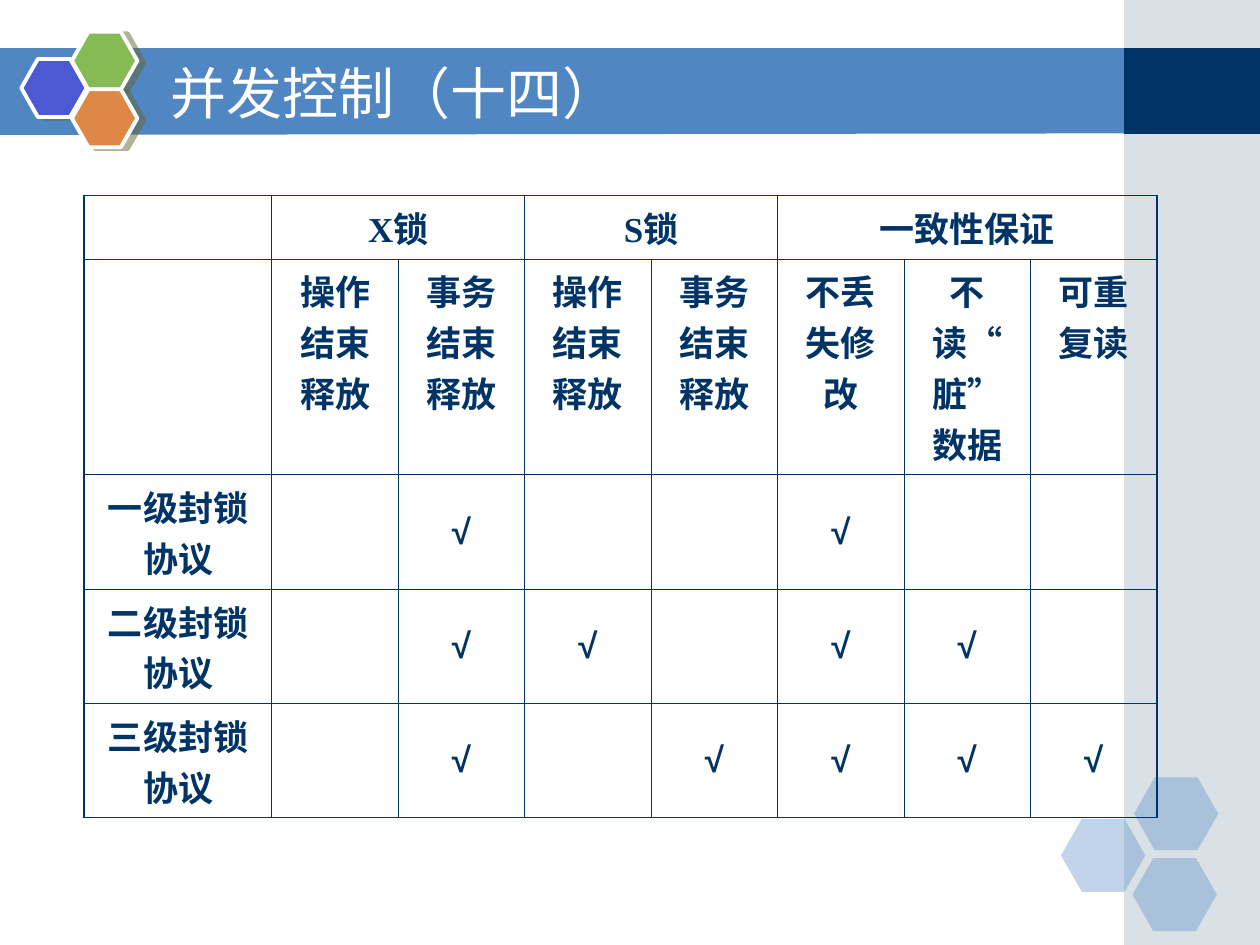
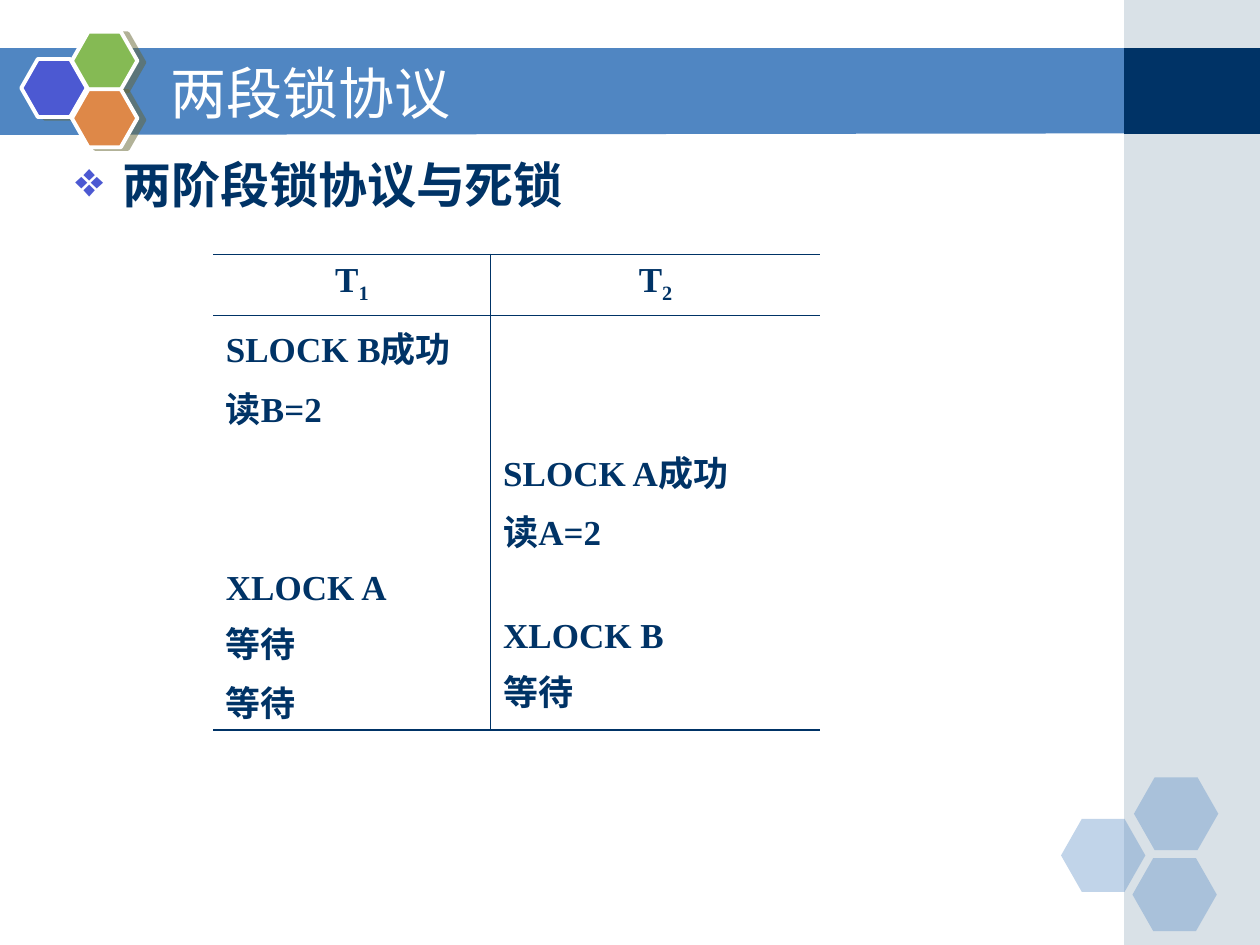
from dataclasses import dataclass

from lxml import etree
from pptx import Presentation
from pptx import util as u
from pptx.dml.color import RGBColor
from pptx.enum import shapes, text
from pptx.oxml import ns

Cm, Pt = u.Cm, u.Pt


@dataclass(frozen=True)
class Theme:
    navy: str = "003366"
    blue: str = "5086C2"
    mist: str = "A0B5C4"
    violet: str = "4C59D2"
    green: str = "85BA54"
    orange: str = "DE8848"
    shade: str = "666633"
    white: str = "FFFFFF"
    sans: str = "DejaVu Sans"
    serif: str = "Times New Roman"
    tick: str = "Arial"
    title: int = 32
    point: int = 28
    cell: int = 20
    thick: float = 1.08
    thin: float = 0.45


def add(parent, tag, **attrs):
    """Append a drawing element and return it."""
    node = etree.SubElement(parent, ns.qn(tag))
    for key, value in attrs.items():
        node.set(key, str(value))
    return node


class Deck:
    def __init__(self, theme):
        self.theme = theme
        self.prs = Presentation()
        self.prs.slide_width, self.prs.slide_height = Cm(25.4), Cm(19.05)
        self.layout = self.prs.slide_layouts[5]
        self.slide = None

    # Slides and their shared frame
    def page(self, title):
        first = self.slide is None
        self.slide = self.prs.slides.add_slide(self.layout)
        if first:
            self.frame()
        box = self.slide.shapes.title
        box.left, box.top, box.width, box.height = Cm(3.18), Cm(1.07), Cm(18.62), Cm(1.57)
        box.text_frame.text = title
        box.text_frame.vertical_anchor = text.MSO_ANCHOR.MIDDLE
        para = box.text_frame.paragraphs[0]
        para.alignment = text.PP_ALIGN.LEFT
        self.font(para, self.theme.title, self.theme.sans, self.theme.white, False)

    def frame(self):
        """Draw the bands and hexagons, then move them to the layout."""
        t = self.theme
        rect = shapes.MSO_SHAPE.RECTANGLE
        # Bands
        pen = self.slide.shapes.build_freeform(Cm(-0.03), Cm(0.97))
        pen.add_line_segments([(Cm(22.73), Cm(0.97)), (Cm(22.73), Cm(2.69)),
                               (Cm(-0.03), Cm(2.72))])
        band = pen.convert_to_shape()
        self.paint(band, t.blue)
        parts = [band,
                 self.shape(rect, 22.66, 0, 2.74, 19.05, t.mist, 40),
                 self.shape(rect, 22.66, 0.97, 2.74, 1.73, t.navy)]
        # Pale hexagons in the corner
        for x, y in ((21.39, 16.51), (22.86, 15.67), (22.83, 17.3)):
            parts.append(self.hexa(x, y, 1.7, 1.47, t.blue, 35))
        # Bright hexagons beside the title
        for x, y, color in ((0.43, 1.19, t.violet), (1.45, 0.64, t.green),
                            (1.45, 1.8, t.orange)):
            cell = self.hexa(x, y, 1.32, 1.17, color)
            cell.line.color.rgb = RGBColor.from_string(t.white)
            cell.line.width = Pt(2.25)
            self.shadow(cell)
            parts.append(cell)
        tree = self.layout.element.cSld.spTree
        for num, part in enumerate(parts, 100):
            part.element.nvSpPr.cNvPr.set("id", str(num))
            tree.append(part.element)

    # Shapes
    def paint(self, shape, color, alpha=100):
        shape.fill.solid()
        shape.fill.fore_color.rgb = RGBColor.from_string(color)
        shape.line.fill.background()
        shape.shadow.inherit = False
        if alpha < 100:
            tone = shape.element.spPr.find(".//" + ns.qn("a:srgbClr"))
            add(tone, "a:alpha", val=alpha * 1000)

    def shape(self, kind, x, y, w, h, color, alpha=100):
        shape = self.slide.shapes.add_shape(kind, Cm(x), Cm(y), Cm(w), Cm(h))
        self.paint(shape, color, alpha)
        return shape

    def hexa(self, x, y, w, h, color, alpha=100):
        shape = self.shape(shapes.MSO_SHAPE.HEXAGON, x, y, w, h, color, alpha)
        shape.adjustments[0] = 0.285
        return shape

    def shadow(self, shape):
        effect = shape.element.spPr.find(ns.qn("a:effectLst"))
        cast = add(effect, "a:outerShdw", dist=int(Pt(4.1)), dir=14 * 60000,
                   algn="ctr", rotWithShape=0)
        add(add(cast, "a:srgbClr", val=self.theme.shade), "a:alpha", val=50000)

    # Text
    def font(self, para, size, name, color, bold=True):
        font = para.font
        font.size, font.name, font.bold = Pt(size), name, bold
        font.color.rgb = RGBColor.from_string(color)

    def point(self, words, x, y, w, h):
        t = self.theme
        frame = self.slide.shapes.add_textbox(Cm(x), Cm(y), Cm(w), Cm(h)).text_frame
        frame.word_wrap = True
        para = frame.paragraphs[0]
        para.text = words
        props = para._p.get_or_add_pPr()
        props.set("marL", str(Cm(0.95)))
        props.set("indent", str(-Cm(0.95)))
        add(add(props, "a:buClr"), "a:srgbClr", val=t.violet)
        add(props, "a:buChar", char="❖")
        self.font(para, t.point, t.sans, t.navy)

    # Tables
    def table(self, rows, x, y, widths, heights, across, down, spans=()):
        """Rule the row bounds in across and the column bounds in down."""
        frame = self.slide.shapes.add_table(len(rows), len(widths), Cm(x), Cm(y),
                                            Cm(sum(widths)), Cm(sum(heights)))
        table = frame.table
        table.first_row = table.horz_banding = False
        for col, width in zip(table.columns, widths):
            col.width = Cm(width)
        for row, height in zip(table.rows, heights):
            row.height = Cm(height)
        for r, c, last in spans:
            table.cell(r, c).merge(table.cell(r, last))
        for r, row in enumerate(rows):
            for c, words in enumerate(row):
                cell = table.cell(r, c)
                wide = cell.span_width if cell.is_merge_origin else 1
                for side, bound, end, ruled in (
                        ("L", c, len(widths), down), ("R", c + wide, len(widths), down),
                        ("T", r, len(rows), across), ("B", r + 1, len(rows), across)):
                    self.edge(cell, side, bound in ruled, bound in (0, end))
                cell.fill.background()
                if words:
                    self.fill(cell, words)
        return table

    def edge(self, cell, side, ruled, outer):
        t = self.theme
        props = cell._tc.get_or_add_tcPr()
        line = add(props, "a:ln" + side, w=int(Pt(t.thick if outer else t.thin)))
        if ruled:
            add(add(line, "a:solidFill"), "a:srgbClr", val=t.navy)
        else:
            add(line, "a:noFill")

    def fill(self, cell, words):
        """Write one paragraph a line; an underscore starts a subscript."""
        t = self.theme
        frame = cell.text_frame
        for num, line in enumerate(words.split("\n")):
            para = frame.add_paragraph() if num else frame.paragraphs[0]
            if num:
                para.space_before = Pt(5)
            base, _, sub = line.partition("_")
            para.add_run().text = base
            if sub:
                run = para.add_run()
                run.text = sub
                run._r.get_or_add_rPr().set("baseline", "-25000")
            self.font(para, t.cell, t.tick if line == "√" else t.serif, t.navy)
        if words == "√":
            cell.vertical_anchor = text.MSO_ANCHOR.MIDDLE

    def center(self, cells):
        for cell in cells:
            for para in cell.text_frame.paragraphs:
                para.alignment = text.PP_ALIGN.CENTER


def locks(deck):
    """Lock levels and what each one ensures."""
    deck.page("并发控制（十四）")
    ends = ["操作结束释放", "事务结束释放"]
    rows = [["", "X锁", "", "S锁", "", "一致性保证", "", ""],
            ["", *ends, *ends, "不丢失修改", "不读“脏”数据", "可重复读"]]
    levels = {"一级封锁协议": (2, 5),
              "二级封锁协议": (2, 3, 5, 6),
              "三级封锁协议": (2, 4, 5, 6, 7)}
    for name, ticks in levels.items():
        rows.append([name] + ["√" if c in ticks else "" for c in range(1, 8)])
    table = deck.table(rows, 1.7, 3.94, [3.78] + [2.55] * 7, [1.27, 4.35] + [2.3] * 3,
                       range(6), range(9), [(0, 1, 2), (0, 3, 4), (0, 5, 7)])
    deck.center(table.iter_cells())


def phases(deck):
    """Two transactions that wait for each other."""
    deck.page("两段锁协议")
    deck.point("两阶段锁协议与死锁", 1.27, 3, 22.86, 14.58)
    rows = [["T_1", "T_2"],
            ["SLOCK B成功\n读B=2", ""],
            ["", "SLOCK A成功\n读A=2"],
            ["XLOCK A\n等待\n等待", "XLOCK B\n等待"]]
    table = deck.table(rows, 4.3, 5.13, [5.59, 6.65], [1.23, 2.49, 2.49, 3.38],
                       (0, 1, 4), (1,))
    deck.center(table.cell(0, c) for c in range(2))
    table.cell(3, 1).margin_top = Cm(1.1)


def main():
    deck = Deck(Theme())
    locks(deck)
    phases(deck)
    deck.prs.save("out.pptx")


if __name__ == "__main__":
    main()
